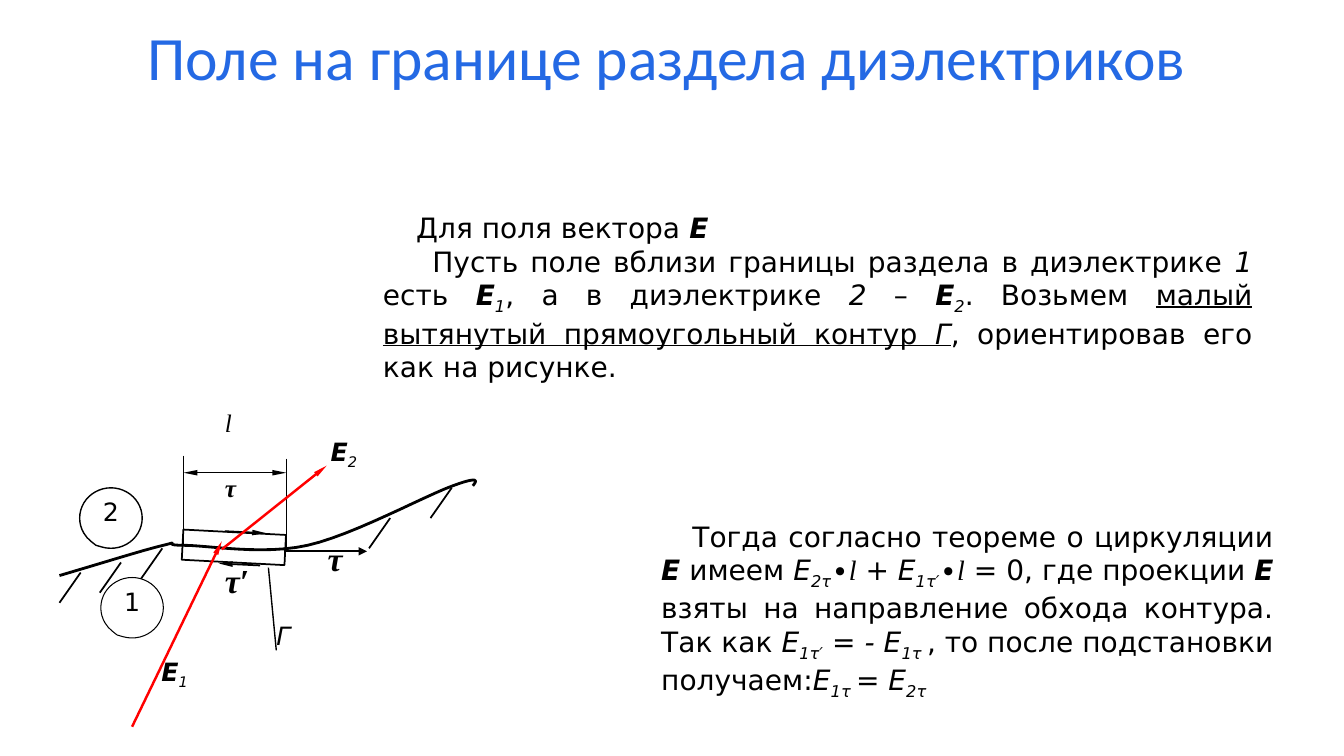
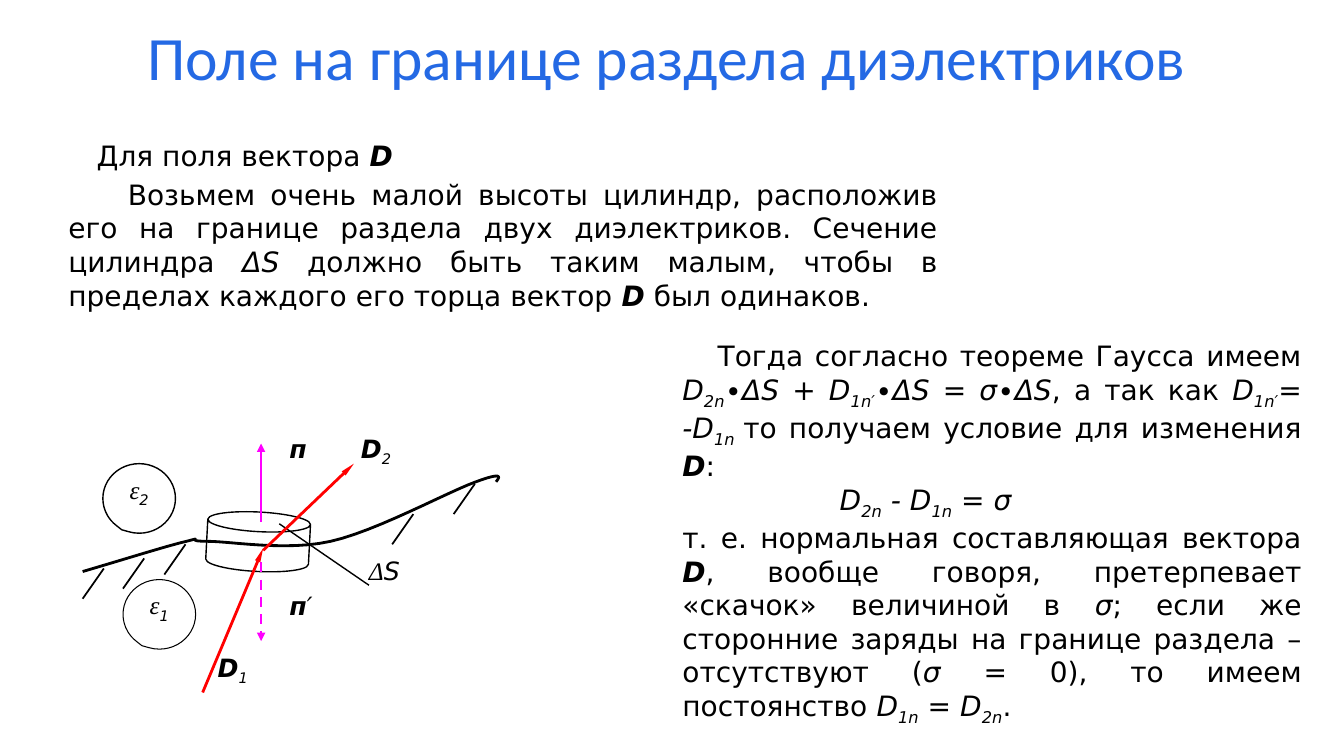
import lxml.etree
import pptx
import pptx.dml.color
import pptx.enum.dml
import pptx.enum.shapes
import pptx.enum.text
import pptx.oxml.ns
import pptx.util

COLUMNS, ROWS = 133.3, 75
BLACK, WHITE, RED, MAGENTA, BLUE = "000000", "FFFFFF", "FF0000", "FF00FF", "2469E4"
SANS, SERIF = "DejaVu Sans", "Times New Roman"
TITLE = "Поле на границе раздела диэлектриков"
LONG, EVEN = ("sm", "lg"), ("med", "med")
SHAPE = pptx.enum.shapes.MSO_SHAPE
ALIGN = pptx.enum.text.PP_ALIGN
ANCHOR = pptx.enum.text.MSO_ANCHOR

BOUNDARY = [(5.9, 57.1),
            (10, 55.9), (14.1, 54.6), (16.2, 54.1),
            (18.2, 53.6), (15.8, 54.1), (18.2, 54.1),
            (20.6, 54.1), (26.1, 55.1), (30.5, 54.1),
            (35, 53.1), (42.1, 49.2), (44.9, 48.2),
            (47.6, 47.2), (47.3, 47.7), (46.9, 48.2)]
HATCHES = [(8, 56.8), (12, 55.8), (16.1, 54.4), (38.7, 51.4), (44.8, 48.4)]


def cell(n):
    """Convert grid columns or rows (a tenth of an inch each) to a length."""
    return pptx.util.Inches(n / 10)


def rgb(color):
    """Turn a hex string into a colour."""
    return pptx.dml.color.RGBColor.from_string(color)


def stroke(line, color, width):
    """Set the colour and width of a line."""
    line.color.rgb = rgb(color)
    line.width = pptx.util.Pt(width)


def add_runs(p, runs, size):
    """Add (style, text) runs: b bold, i italic, s subscript, u underline, t serif."""
    for style, text in runs:
        r = p.add_run()
        r.text = text
        font = r.font
        font.size = pptx.util.Pt(size)
        font.name = SERIF if "t" in style else SANS
        font.color.rgb = rgb(BLACK)
        font.bold, font.italic = "b" in style, "i" in style
        font.underline = "u" in style
        if "s" in style:
            font._element.set("baseline", "-25000")


def add_body(s, box, paragraphs):
    """Add a body text box from (indent, align, space after, runs) paragraphs."""
    tf = s.shapes.add_textbox(*map(cell, box)).text_frame
    tf.word_wrap = True
    for i, (indent, align, after, runs) in enumerate(paragraphs):
        p = tf.add_paragraph() if i else tf.paragraphs[0]
        p.alignment = align
        p.space_after = pptx.util.Pt(after)
        p._p.get_or_add_pPr().set("indent", str(cell(indent)))
        add_runs(p, runs, 20)


def fill_label(sp, runs, size, align):
    """Write one line of text at the top of a shape without margins."""
    tf = sp.text_frame
    tf.word_wrap = True
    tf.vertical_anchor = ANCHOR.TOP
    tf.margin_left = tf.margin_right = tf.margin_top = tf.margin_bottom = 0
    tf.paragraphs[0].alignment = align
    add_runs(tf.paragraphs[0], runs, size)


def add_label(s, x, y, runs, size=18):
    """Add a free-standing label of the drawing."""
    fill_label(s.shapes.add_textbox(*map(cell, (x, y, 7, 5))), runs, size, ALIGN.LEFT)


def add_outline(s, kind, box, width=1, adjustments=(), fill=None, rotation=0):
    """Add a preset shape with a black outline."""
    sp = s.shapes.add_shape(kind, *map(cell, box))
    sp.shadow.inherit = False
    sp.rotation = rotation
    stroke(sp.line, BLACK, width)
    if fill:
        sp.fill.solid()
        sp.fill.fore_color.rgb = rgb(fill)
    else:
        sp.fill.background()
    for i, value in enumerate(adjustments):
        sp.adjustments[i] = value
    return sp


def add_medium(s, box, width, runs):
    """Add the round mark of a dielectric."""
    sp = add_outline(s, SHAPE.OVAL_CALLOUT, box, width, (-0.24, 0.45))
    fill_label(sp, runs, 18, ALIGN.CENTER)


def add_leader(s, box, adjustments, runs):
    """Add a label with a leader line."""
    sp = add_outline(s, SHAPE.LINE_CALLOUT_1_NO_BORDER, box, 1, adjustments)
    fill_label(sp, runs, 18, ALIGN.LEFT)


def add_line(s, start, end, color=BLACK, width=1.25, ends=(), head=LONG, dashed=False):
    """Add a straight line with arrowheads at the named ends."""
    line = s.shapes.add_connector(pptx.enum.shapes.MSO_CONNECTOR.STRAIGHT,
                                  *map(cell, (*start, *end)))
    stroke(line.line, color, width)
    if dashed:
        line.line.dash_style = pptx.enum.dml.MSO_LINE.DASH
    qn, spPr = pptx.oxml.ns.qn, line._element.spPr
    for name in ends:
        lxml.etree.SubElement(spPr.find(qn("a:ln")), qn(f"a:{name}"),
                              type="triangle", w=head[0], len=head[1])
    lxml.etree.SubElement(spPr, qn("a:effectLst"))


def add_arrow(s, start, end, color=BLACK, width=1.25, head=LONG, dashed=False):
    """Add a line with an arrowhead at its end."""
    add_line(s, start, end, color, width, ["tailEnd"], head, dashed)


def curve_points(points, steps=12):
    """Sample a chain of cubic Bezier segments."""
    for i in range(0, len(points) - 1, 3):
        for k in range(1, steps + 1):
            t = k / steps
            weights = (1 - t) ** 3, 3 * t * (1 - t) ** 2, 3 * t * t * (1 - t), t ** 3
            yield tuple(sum(w * q[axis] for w, q in zip(weights, points[i:i + 4]))
                        for axis in (0, 1))


def add_boundary(s, dx=0, dy=0):
    """Draw the hatched boundary of the two dielectrics."""
    points = [(x + dx, y + dy) for x, y in BOUNDARY]
    builder = s.shapes.build_freeform(*map(cell, points[0]))
    builder.add_line_segments([(cell(x), cell(y)) for x, y in curve_points(points)],
                              close=False)
    sp = builder.convert_to_shape()
    sp.shadow.inherit = False
    sp.fill.background()
    stroke(sp.line, BLACK, 2)
    for x, y in HATCHES:
        add_line(s, (x + dx, y + dy), (x + dx - 2.1, y + dy + 3))


def add_slide(prs):
    """Add a slide with the common title."""
    s = prs.slides.add_slide(prs.slide_layouts[5])
    sp = s.shapes.title
    sp.left, sp.top, sp.width, sp.height = map(cell, (1.7, 3.1, 128.9, 6.7))
    tf = sp.text_frame
    tf.text = TITLE
    tf.vertical_anchor = ANCHOR.MIDDLE
    p = tf.paragraphs[0]
    p.alignment = ALIGN.CENTER
    p.line_spacing = 0.7
    font = p.runs[0].font
    font.size, font.name, font.color.rgb = pptx.util.Pt(44), "Calibri", rgb(BLUE)
    return s


def add_field_e(prs):
    """Build the slide on the field E."""
    s = add_slide(prs)
    add_body(s, (37, 20.4, 88.2, 18.1), [
        (3.3, ALIGN.JUSTIFY, 0, [("", "Для поля вектора "), ("bi", "Е")]),
        (4.9, ALIGN.JUSTIFY, 0, [
            ("", "Пусть поле вблизи границы раздела в диэлектрике "), ("i", "1"),
            ("", " есть "), ("bi", "Е"), ("is", "1"), ("", ", а в диэлектрике "),
            ("i", "2"), ("", " – "), ("bi", "Е"), ("is", "2"), ("", ". Возьмем "),
            ("u", "малый вытянутый прямоугольный контур "), ("iu", "Г"),
            ("", ", ориентировав его как на рисунке.")])])
    add_body(s, (64.6, 51, 62.7, 17.8), [
        (3.1, ALIGN.JUSTIFY, 0, [
            ("", "Тогда согласно теореме о циркуляции "), ("bi", "Е"), ("", " имеем "),
            ("i", "E"), ("is", "2τ"), ("i", "∙"), ("it", "l"), ("i", " + E"),
            ("is", "1τ′"), ("i", "∙"), ("it", "l"), ("i", " = "),
            ("", "0, где проекции "), ("bi", "Е"),
            ("", " взяты на направление обхода контура. Так как "),
            ("i", "E"), ("is", "1τ′"), ("i", " = - E"), ("is", "1τ "),
            ("", ", то после подстановки получаем:"),
            ("i", "E"), ("is", "1τ "), ("i", "= E"), ("is", "2τ")])])
    add_outline(s, SHAPE.RECTANGLE, (18.1, 52.8, 10.2, 3), 1.25, rotation=3)
    add_arrow(s, (22.3, 52.7), (26.4, 52.9))
    add_arrow(s, (25.8, 56.1), (21.7, 55.9))
    add_boundary(s)
    for x, y in ((18.2, 45.2), (28.4, 45.5)):
        add_line(s, (x, y), (x, y + 8.9), width=1)
    add_line(s, (18.2, 46.9), (28.4, 46.9), width=1, ends=["headEnd", "tailEnd"])
    add_arrow(s, (28.2, 54.7), (36.4, 54.7), width=1.5, head=EVEN)
    add_medium(s, (10, 57.3, 6.2, 6), 0.75, [("", "1")])
    add_medium(s, (7.9, 48.4, 6.2, 6), 1, [("", "2")])
    add_leader(s, (27.4, 61.5, 6.5, 5.7), (0.53, 0, -0.91, -0.12), [("i", "Г")])
    add_arrow(s, (13.1, 72.1), (22, 53.7), RED, 1.75)
    add_arrow(s, (22, 54.5), (32.4, 46.2), RED, 1.75)
    add_label(s, 22.3, 40.4, [("it", "l")])
    add_label(s, 22.3, 46.9, [("bit", "τ")])
    add_label(s, 32.5, 53.4, [("bit", "τ")], 24)
    add_label(s, 22.3, 55.5, [("bit", "τ′")], 24)
    add_label(s, 16, 65.1, [("bi", "Е"), ("is", "1")])
    add_label(s, 32.8, 43.3, [("bi", "Е"), ("is", "2")])


def add_field_d(prs):
    """Build the slide on the field D."""
    s = add_slide(prs)
    add_body(s, (5.8, 13.2, 88.2, 18.3), [
        (2.8, ALIGN.JUSTIFY, 4, [("", "Для поля вектора "), ("bi", "D")]),
        (5.9, ALIGN.JUSTIFY, 0, [
            ("", "Возьмем очень малой высоты цилиндр, расположив его на границе "
                 "раздела двух диэлектриков. Сечение цилиндра "), ("i", "ΔЅ"),
            ("", " должно быть таким малым, чтобы в пределах каждого его торца вектор "),
            ("bi", "D"), ("", " был одинаков.")])])
    add_body(s, (66.7, 33.1, 63.4, 38), [
        (3.5, ALIGN.JUSTIFY, 0, [
            ("", "Тогда согласно теореме Гаусса имеем "), ("i", "D"), ("is", "2n"),
            ("i", "∙ΔЅ + D"), ("is", "1n′"), ("i", "∙ΔЅ = σ∙ΔЅ"),
            ("", ", а так как "), ("i", "D"), ("is", "1n′"), ("i", "= -D"),
            ("is", "1n "), ("", "то получаем условие для изменения "),
            ("bi", "D"), ("", ":")]),
        (15.6, ALIGN.LEFT, 0, [
            ("i", "D"), ("is", "2n"), ("i", " - D"), ("is", "1n"), ("i", " = σ")]),
        (0, ALIGN.JUSTIFY, 0, [
            ("", "т. е. нормальная составляющая вектора "), ("bi", "D"),
            ("", ", вообще говоря, претерпевает «скачок» величиной в "), ("i", "σ"),
            ("", "; если же сторонние заряды на границе раздела – отсутствуют ("),
            ("i", "σ = "), ("", "0), то имеем постоянство "), ("i", "D"),
            ("is", "1n"), ("i", " = D"), ("is", "2n"), ("", ".")])])
    add_outline(s, SHAPE.CAN, (20.5, 50.8, 10.2, 5.9), 1, [0.33], WHITE, 3)
    add_boundary(s, 2.3, -0.4)
    add_arrow(s, (25.9, 51.8), (25.9, 44), MAGENTA, 1.75, EVEN)
    add_arrow(s, (25.9, 55.8), (25.9, 63.6), MAGENTA, 1.75, EVEN, True)
    add_medium(s, (12.2, 57.5, 7.2, 6.9), 0.75, [("it", "ε"), ("is", "1")])
    add_medium(s, (10.2, 46, 7.2, 6.9), 1, [("it", "ε"), ("is", "2")])
    add_leader(s, (36.6, 55.1, 6.4, 5.6), (0.53, 0, -0.56, -1.39),
               [("it", "Δ"), ("i", "Ѕ")])
    add_arrow(s, (20.1, 68.7), (26.1, 54.4), RED, 2)
    add_arrow(s, (26.1, 54.6), (35.1, 46), RED, 2)
    add_label(s, 28.7, 43, [("bi", "п")])
    add_label(s, 28.7, 58.6, [("bi", "п"), ("i", "′")])
    add_label(s, 35.8, 43, [("bi", "D"), ("is", "2")])
    add_label(s, 21.6, 64.7, [("bi", "D"), ("is", "1")])


def main():
    """Build and save the presentation."""
    prs = pptx.Presentation()
    prs.slide_width, prs.slide_height = cell(COLUMNS), cell(ROWS)
    add_field_e(prs)
    add_field_d(prs)
    prs.save("out.pptx")


if __name__ == "__main__":
    main()
